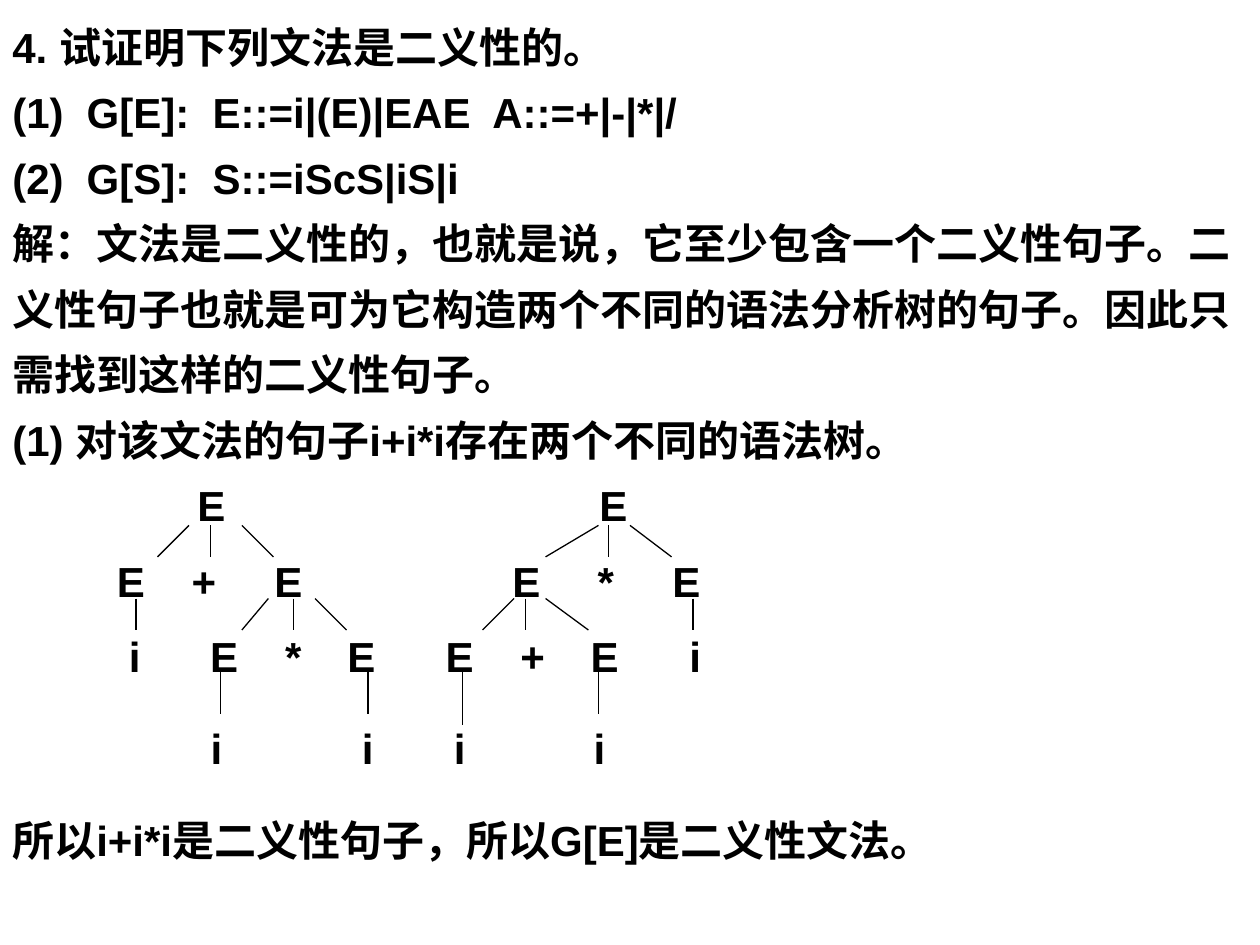
import pptx
import pptx.dml.color
import pptx.enum.shapes
import pptx.enum.text
import pptx.oxml.ns
import pptx.util
from lxml import etree
from pptx.util import Inches

COLORS = {"ink": "000000", "paper": "FFFFFF"}
INK = pptx.dml.color.RGBColor.from_string(COLORS["ink"])
LETTERING = {"name": "Arial", "size": pptx.util.Pt(24), "bold": True}
FRAME = {
    "word_wrap": True,
    "auto_size": pptx.enum.text.MSO_AUTO_SIZE.SHAPE_TO_FIT_TEXT,
    "vertical_anchor": pptx.enum.text.MSO_ANCHOR.TOP,
    "margin_left": Inches(0.1),
    "margin_right": Inches(0.1),
    "margin_top": Inches(0.05),
    "margin_bottom": Inches(0.05),
}

GRAMMAR_TABS = [0.59, 1.59, 3.81]
passages = [
    ("4. 试证明下列文法是二义性的。", 1.3, 0, "l", []),
    ("(1)\tG[E]:\tE::=i|(E)|EAE\tA::=+|-|*|/", 1.3, 0, "l", GRAMMAR_TABS),
    ("(2)\tG[S]:\tS::=iScS|iS|i", 1.3, 0, "l", GRAMMAR_TABS),
    ("解：文法是二义性的，也就是说，它至少包含一个二义性句子。"
     "二义性句子也就是可为它构造两个不同的语法分析树的句子。"
     "因此只需找到这样的二义性句子。", 1.3, 0, "l", []),
    ("(1) 对该文法的句子i+i*i存在两个不同的语法树。", 1.3, 0, "l", []),
    ("\tE\tE", 1.3, 0, "ctr", [1.58, 4.77]),
    ("\tE\t+\tE\tE\t*\tE", 1.5, 0, "ctr", [0.94, 1.52, 2.19, 4.08, 4.71, 5.35]),
    ("\ti\tE\t*\tE\tE\t+\tE\ti", 1.5, 0, "ctr",
     [0.97, 1.68, 2.23, 2.77, 3.55, 4.13, 4.7, 5.42]),
    ("\ti\ti\ti\ti", 1.3, 15, "ctr", [1.62, 2.82, 3.55, 4.66]),
    ("所以i+i*i是二义性句子，所以G[E]是二义性文法。", 1.3, 15, "l", []),
]

branch_levels = [
    (4.17, 4.42, [(1.5, 1.25), (1.67, 1.67), (1.92, 2.17),
                  (4.75, 4.33), (4.83, 4.83), (5, 5.33)]),
    (4.75, 5, [(1.08, 1.08), (2.13, 1.92), (2.33, 2.33), (2.5, 2.75),
               (4.08, 3.83), (4.17, 4.17), (4.33, 4.67), (5.5, 5.5)]),
    (5.33, 5.67, [(1.75, 1.75), (2.92, 2.92), (4.75, 4.75)]),
    (5.33, 5.75, [(3.67, 3.67)]),
]

deck = pptx.Presentation()
deck.slide_width, deck.slide_height = Inches(10), Inches(7.5)
slide = deck.slides.add_slide(deck.slide_layouts[6])
slide.background.fill.solid()
slide.background.fill.fore_color.rgb = pptx.dml.color.RGBColor.from_string(COLORS["paper"])

solution = slide.shapes.add_textbox(0, 0, Inches(10), Inches(6.92)).text_frame
for attribute, value in FRAME.items():
    setattr(solution, attribute, value)

for index, (wording, spacing, space_before, alignment, stops) in enumerate(passages):
    passage = solution.add_paragraph() if index else solution.paragraphs[0]
    passage.line_spacing = spacing
    passage.space_before = pptx.util.Pt(space_before)
    if stops:
        tab_list = etree.SubElement(passage._p.get_or_add_pPr(), pptx.oxml.ns.qn("a:tabLst"))
        for stop in stops:
            etree.SubElement(tab_list, pptx.oxml.ns.qn("a:tab"),
                             pos=str(Inches(stop)), algn=alignment)
    words = passage.add_run()
    words.text = wording
    for attribute, value in LETTERING.items():
        setattr(words.font, attribute, value)
    words.font.color.rgb = INK

for top, bottom, branches in branch_levels:
    for parent_x, child_x in branches:
        branch = slide.shapes.add_connector(
            pptx.enum.shapes.MSO_CONNECTOR.STRAIGHT,
            Inches(parent_x), Inches(top), Inches(child_x), Inches(bottom))
        branch.line.color.rgb = INK
        branch.line.width = pptx.util.Pt(0.75)
        etree.SubElement(branch._element.spPr, pptx.oxml.ns.qn("a:effectLst"))

deck.save("out.pptx")
